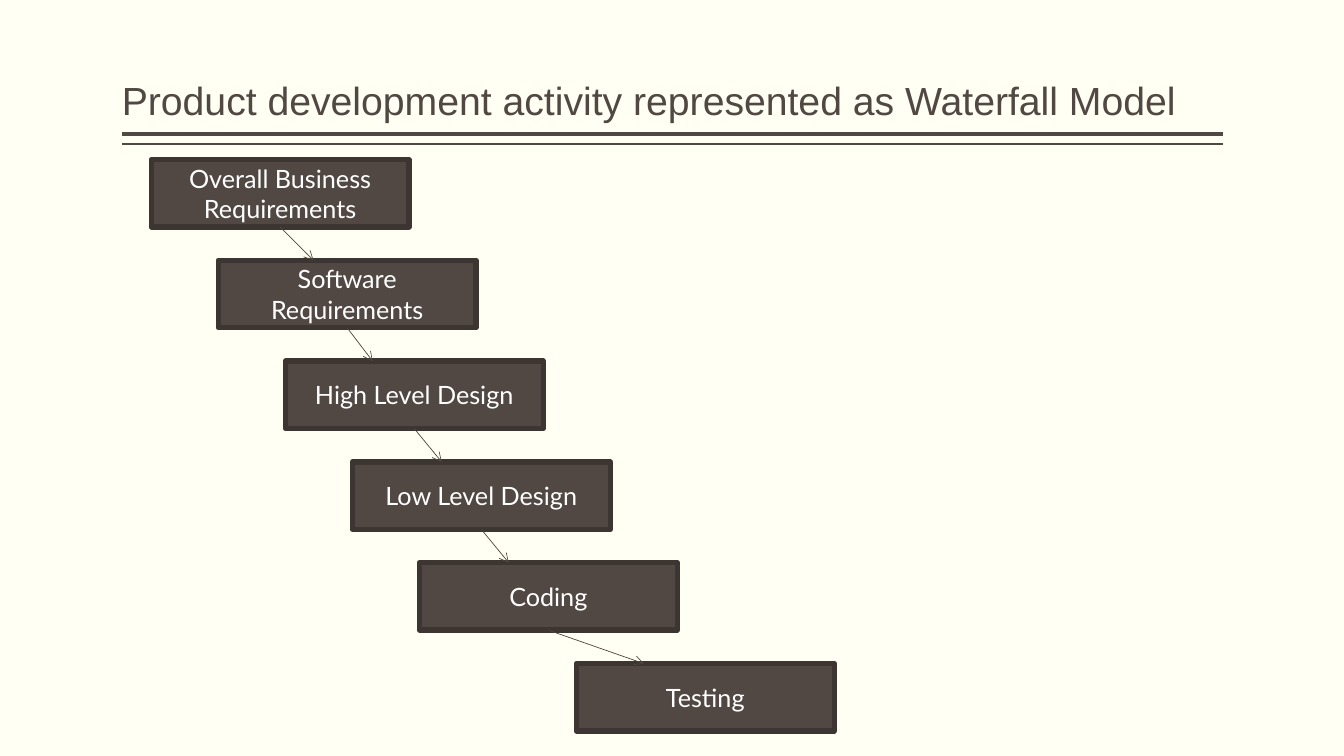
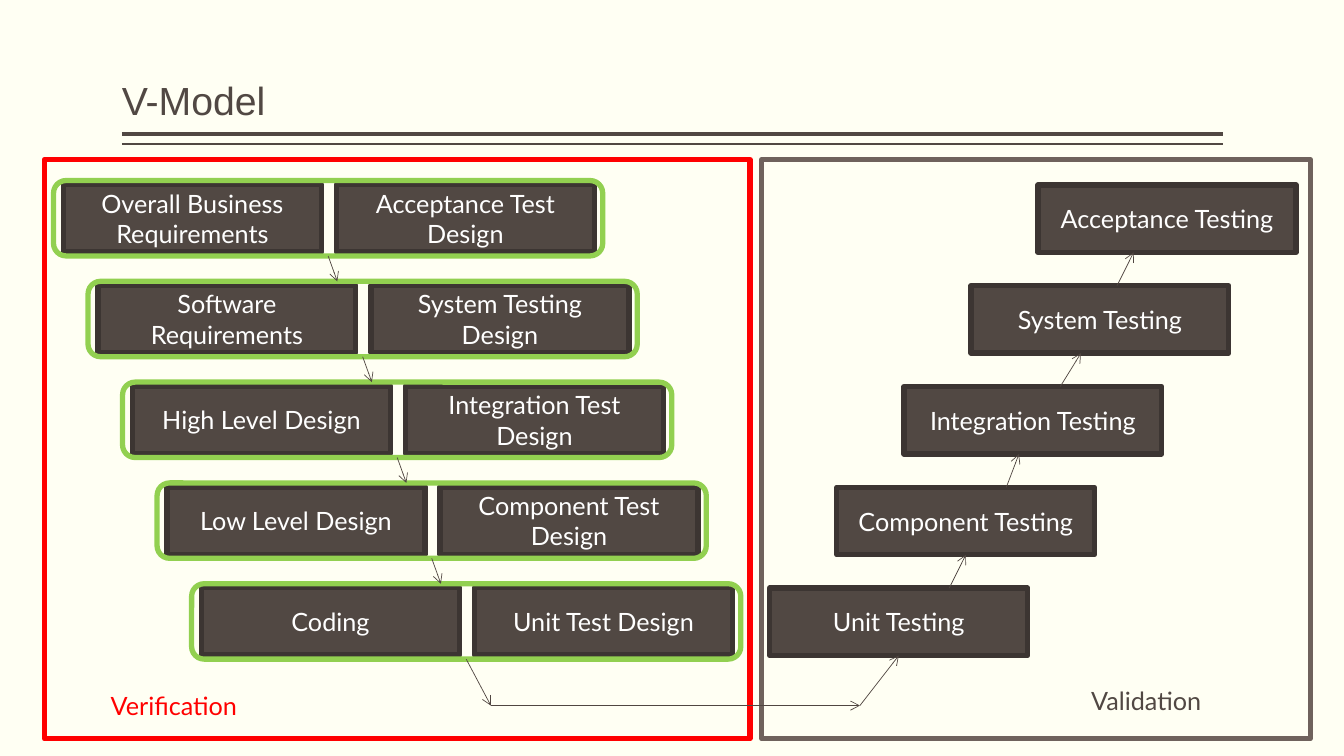
from lxml import etree
from pptx import Presentation
from pptx.dml.color import RGBColor
from pptx.enum.shapes import MSO_CONNECTOR as CXN, MSO_SHAPE as SHAPE
from pptx.enum.text import MSO_ANCHOR as ANCHOR, PP_ALIGN as ALIGN
from pptx.oxml.ns import qn
from pptx.util import Cm, Pt

CREAM = RGBColor(0xFF, 0xFF, 0xF3)
BROWN = RGBColor(0x51, 0x48, 0x43)
DARK = RGBColor(0x3C, 0x35, 0x32)
ARROW = RGBColor(0x50, 0x46, 0x41)
TAUPE = RGBColor(0x6F, 0x62, 0x5C)
GREEN = RGBColor(0x92, 0xD0, 0x50)
RED = RGBColor(0xFF, 0x00, 0x00)
WHITE = RGBColor(0xFF, 0xFF, 0xFF)

TITLE_FONT = {"name": "Arial", "size": Pt(28)}
BODY_FONT = {"name": "Lato", "size": Pt(18)}
TITLE_FRAME = {"word_wrap": True, "vertical_anchor": ANCHOR.BOTTOM,
               "margin_left": 0, "margin_right": 0}
BOX_FRAME = {"word_wrap": True, "vertical_anchor": ANCHOR.MIDDLE}

# Lengths in centimetres
BOX_W, BOX_H = 6.5, 1.7
PAIR_W, PAIR_H = 13.84, 1.9
STEP_X, STEP_Y = 1.69, 2.54
VERIFY_PANEL = (1.12, 4.02, 17.78, 14.6)
VALID_PANEL = (19.2, 4.02, 13.82, 14.6)
TURN_DOWN, TURN_UP = (12.37, 17.78), (21.67, 17.78)

# Step name, left edge as a number of steps, arrow end inside the box
WATERFALL = [
    ("Overall Business Requirements", 0, None),
    ("Software Requirements", 1, 2.4),
    ("High Level Design", 2, 2.2),
    ("Low Level Design", 3, 2.25),
    ("Coding", 4, 2.25),
    ("Testing", 6.34, 1.7),
]
DESIGN_PAIRS = [
    ("Overall Business Requirements", "Acceptance Test Design"),
    ("Software Requirements", "System Testing Design"),
    ("High Level Design", "Integration Test Design"),
    ("Low Level Design", "Component Test Design"),
    ("Coding", "Unit Test Design"),
]
# Test level from the bottom up, arrow start in the box below, arrow end
# in this box (None is the middle)
TEST_LEVELS = [
    ("Unit Testing", None, None),
    ("Component Testing", 4.52, None),
    ("Integration Testing", 4.27, 2.9),
    ("System Testing", 3.94, 2.77),
    ("Acceptance Testing", 3.68, 2.41),
]


def set_attrs(obj, values):
    for name, value in values.items():
        setattr(obj, name, value)


def write(tf, text, frame, font, color, align=ALIGN.LEFT):
    set_attrs(tf, frame)
    p = tf.paragraphs[0]
    p.alignment = align
    r = p.add_run()
    r.text = text
    set_attrs(r.font, font)
    r.font.color.rgb = color
    return p


def add_text(s, box, text, frame, font, color):
    tf = s.shapes.add_textbox(*map(Cm, box)).text_frame
    return write(tf, text, frame, font, color)


def add_outline(shapes, kind, box, color, fill=None):
    sp = shapes.add_shape(kind, *map(Cm, box))
    sp.shadow.inherit = False
    if fill is None:
        sp.fill.background()
    else:
        sp.fill.solid()
        sp.fill.fore_color.rgb = fill
    sp.line.color.rgb = color
    sp.line.width = Pt(3.78)
    return sp


def add_step(shapes, x, y, text):
    sp = add_outline(shapes, SHAPE.RECTANGLE, (x, y, BOX_W, BOX_H), DARK, BROWN)
    write(sp.text_frame, text, BOX_FRAME, BODY_FONT, WHITE, ALIGN.CENTER)
    return sp


def add_line(s, start, end, color, width):
    line = s.shapes.add_connector(CXN.STRAIGHT, *map(Cm, (*start, *end)))
    line.line.color.rgb = color
    line.line.width = Pt(width)
    etree.SubElement(line._element.spPr, qn("a:effectLst"))
    return line


def add_arrow(s, start, end):
    """Each end is a point, or a shape joined at its bottom middle."""
    points = [v if isinstance(v, tuple) else None for v in (start, end)]
    line = add_line(s, points[0] or points[1], points[1] or points[0], ARROW, 0.5)
    if points[0] is None:
        line.begin_connect(start, 2)
    if points[1] is None:
        line.end_connect(end, 2)
    etree.SubElement(line.line._get_or_add_ln(), qn("a:tailEnd"), type="arrow")


def add_titled_slide(prs, title):
    s = prs.slides.add_slide(prs.slide_layouts[6])
    for y, width in ((3.38, 3), (3.63, 1)):
        add_line(s, (3.07, y), (30.81, y), BROWN, width)
    p = add_text(s, (3.07, 0.2, 27.74, 3.05), title, TITLE_FRAME, TITLE_FONT, BROWN)
    p.line_spacing = 0.9
    return s


def add_waterfall(s, left, top):
    above = None
    for i, (name, steps, arrow_end) in enumerate(WATERFALL):
        x, y = left + steps * STEP_X, top + i * STEP_Y
        sp = add_step(s.shapes, x, y, name)
        if above is not None:
            add_arrow(s, above, (x + arrow_end, y))
        above = sp


def add_panel(s, panel, color, label, label_box, label_color):
    left, top = panel[:2]
    add_outline(s.shapes, SHAPE.RECTANGLE, panel, color)
    x, y, w, h = label_box
    add_text(s, (left + x, top + y, w, h), label, {"word_wrap": True},
             BODY_FONT, label_color)


def add_verification(s, panel):
    left, top = panel[:2]
    above = None
    for i, (work, test) in enumerate(DESIGN_PAIRS):
        x, y = left + 0.23 + i * 0.87, top + 0.53 + i * STEP_Y
        shapes = s.shapes.add_group_shape().shapes
        for offset, name in ((0.25, work), (7.13, test)):
            add_step(shapes, x + offset, y + 0.1, name)
        ring = add_outline(shapes, SHAPE.ROUNDED_RECTANGLE,
                           (x, y, PAIR_W, PAIR_H), GREEN)
        if above is not None:
            add_arrow(s, above, (x + 6.28, y))
        above = ring
    add_arrow(s, above, TURN_DOWN)
    add_panel(s, panel, RED, "Verification", (1.42, 13.26, 8.6, 1.02), RED)


def add_validation(s, panel):
    left, top = panel[:2]
    for i, (name, arrow_start, arrow_end) in enumerate(TEST_LEVELS):
        x, y = left + 0.2 + i * STEP_X, top + 10.8 - i * STEP_Y
        sp = add_step(s.shapes, x, y, name)
        start = TURN_UP
        if arrow_start is not None:
            start = (x - STEP_X + arrow_start, y + STEP_Y)
        end = sp if arrow_end is None else (x + arrow_end, y + BOX_H)
        add_arrow(s, start, end)
    add_panel(s, panel, TAUPE, "Validation", (8.05, 13.13, 4.88, 1.07), BROWN)


def main():
    prs = Presentation()
    prs.slide_width, prs.slide_height = Cm(33.87), Cm(19.05)
    fill = prs.slide_master.background.fill
    fill.solid()
    fill.fore_color.rgb = CREAM

    # Waterfall model
    s = add_titled_slide(
        prs, "Product development activity represented as Waterfall Model")
    add_waterfall(s, 3.81, 4.02)

    # V-model
    s = add_titled_slide(prs, "V-Model")
    add_verification(s, VERIFY_PANEL)
    add_validation(s, VALID_PANEL)
    add_arrow(s, TURN_DOWN, TURN_UP)

    prs.save("out.pptx")


if __name__ == "__main__":
    main()
